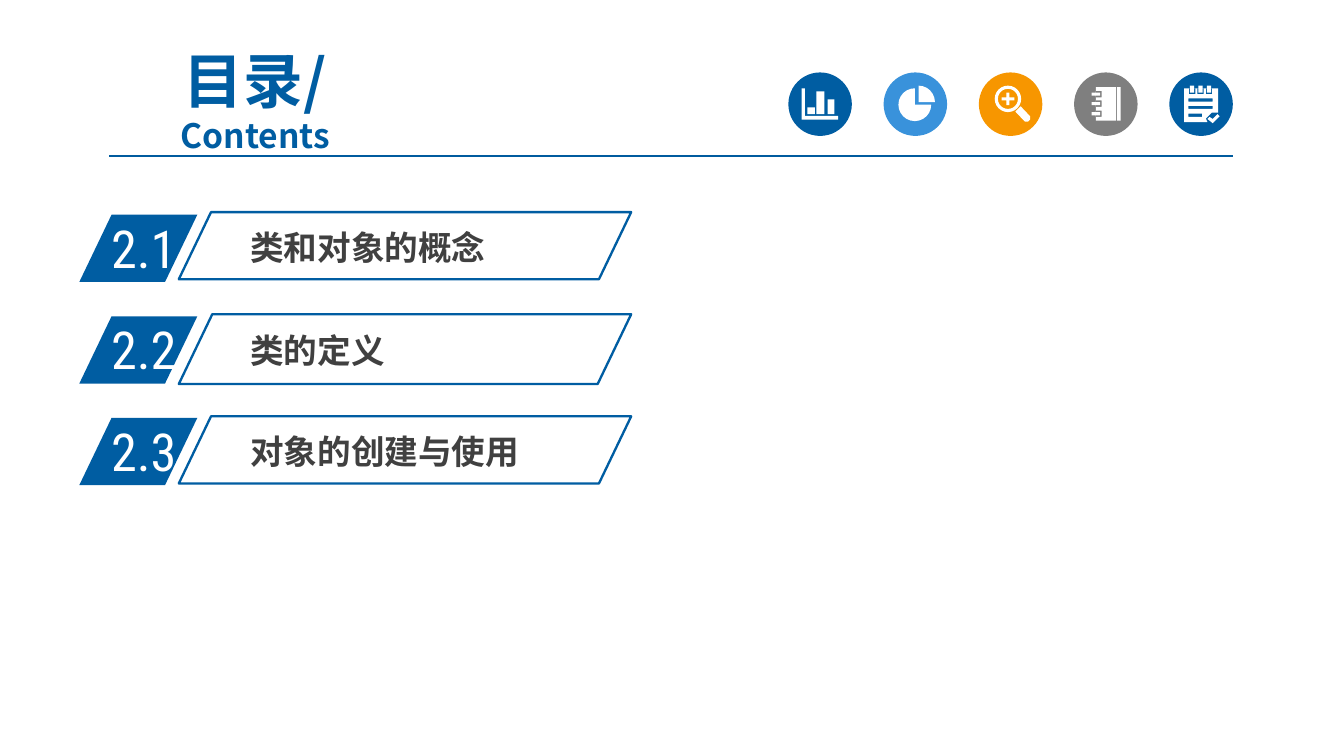
from math import cos, radians, sin

from lxml import etree
from pptx import Presentation
from pptx.dml.color import RGBColor
from pptx.enum.shapes import MSO_CONNECTOR, MSO_SHAPE
from pptx.enum.text import MSO_ANCHOR, MSO_AUTO_SIZE, PP_ALIGN
from pptx.oxml.ns import qn
from pptx.util import Cm, Pt

BLUE = RGBColor(0x00, 0x5D, 0xA2)
RULE = RGBColor(0x00, 0x5B, 0x9E)
SKY = RGBColor(0x39, 0x92, 0xDB)
ORANGE = RGBColor(0xF7, 0x96, 0x00)
GRAY = RGBColor(0x7F, 0x7F, 0x7F)
DARK = RGBColor(0x40, 0x40, 0x40)
WHITE = RGBColor(0xFF, 0xFF, 0xFF)
CJK = "Noto Sans CJK SC"
LATIN = "Roboto Condensed"


def add_text(p, text, font=CJK, size=18, color=DARK, bold=False):
    r = p.add_run()
    r.text = text
    r.font.name = font
    r.font.size = Pt(size)
    r.font.bold = bold
    r.font.color.rgb = color
    etree.SubElement(r.font._element, qn("a:ea"), typeface=font)


def paint(sp, fill=None, line=None):
    sp.shadow.inherit = False
    if fill is None:
        sp.fill.background()
    else:
        sp.fill.solid()
        sp.fill.fore_color.rgb = fill
    if line is None:
        sp.line.fill.background()
    else:
        sp.line.color.rgb = line
        sp.line.width = Pt(1.25)


prs = Presentation()
prs.slide_width, prs.slide_height = Cm(25.4), Cm(14.29)
s = prs.slides.add_slide(prs.slide_layouts[5])

# Title and rule below it
title = s.shapes.title
title.left, title.top, title.width, title.height = Cm(1.69), Cm(1.2), Cm(6.27), Cm(1.37)
tf = title.text_frame
tf.auto_size = MSO_AUTO_SIZE.NONE
tf.vertical_anchor = MSO_ANCHOR.MIDDLE
p = tf.paragraphs[0]
p.alignment = PP_ALIGN.CENTER
add_text(p, "目录/", size=32, color=BLUE, bold=True)
p.add_line_break()
add_text(p, "Contents", color=BLUE, bold=True)

rule = s.shapes.add_connector(MSO_CONNECTOR.STRAIGHT, Cm(2.06), Cm(2.95), Cm(23.3), Cm(2.95))
rule.line.color.rgb = RULE
rule.line.width = Pt(0.75)
etree.SubElement(rule._element.spPr, qn("a:effectLst"))

# Contents rows: numbered tag and outlined panel
rows = [("类和对象的概念", 1.27), ("类的定义", 1.32), ("对象的创建与使用", 1.27)]
for i, (item, height) in enumerate(rows):
    tag_y = 4.06 + 1.92 * i
    panel_y = 4.01 + 1.93 * i
    tag = s.shapes.add_shape(MSO_SHAPE.PARALLELOGRAM, Cm(1.5), Cm(tag_y), Cm(2.23), Cm(1.27))
    panel = s.shapes.add_shape(MSO_SHAPE.PARALLELOGRAM, Cm(3.38), Cm(panel_y), Cm(8.55), Cm(height))
    tag.adjustments[0] = panel.adjustments[0] = 0.48
    paint(tag, fill=BLUE)
    paint(panel, line=BLUE)

    tf = s.shapes.add_textbox(Cm(1.85), Cm(tag_y - 0.1), Cm(2.13), Cm(1.45)).text_frame
    tf.word_wrap = True
    add_text(tf.paragraphs[0], f"2.{i + 1}", font=LATIN, size=28, color=WHITE)

    text_y = panel_y + (height - 0.97) / 2 + 0.03
    tf = s.shapes.add_textbox(Cm(4.55), Cm(text_y), Cm(6.27), Cm(0.97)).text_frame
    tf.word_wrap = True
    tf.margin_left = tf.margin_right = Cm(0.18)
    tf.margin_top = tf.margin_bottom = Cm(0.1)
    add_text(tf.paragraphs[0], item, bold=True)

# Icons, in cm from the disc corner; overlapping outlines cut holes
# boxes: x, y, w, h; arcs: centre x, y, radius, start and end angle
chart = {
    "polygons": [[(0.25, 0.3), (0.31, 0.3), (0.31, 0.82), (0.94, 0.82), (0.94, 0.89), (0.25, 0.89)]],
    "boxes": [(0.36, 0.66, 0.14, 0.13), (0.53, 0.36, 0.15, 0.43), (0.74, 0.51, 0.13, 0.28)],
}
pie = {"arcs": [(0.59, 0.61, 0.31, 0, 270), (0.66, 0.56, 0.31, 270, 360)]}
magnifier = {
    "arcs": [(0.55, 0.5, 0.25, 0, 360), (0.55, 0.5, 0.19, 0, 360)],
    "boxes": [(0.52, 0.38, 0.06, 0.24), (0.43, 0.47, 0.09, 0.06), (0.58, 0.47, 0.09, 0.06)],
    "polygons": [[(0.69, 0.74), (0.79, 0.64), (0.97, 0.83), (0.97, 0.89), (0.93, 0.93), (0.87, 0.93)]],
}
notebook = {"boxes": [(0.41, 0.28, 0.38, 0.63), (0.81, 0.28, 0.07, 0.63)]}
for y in (0.41, 0.59, 0.78):
    notebook["boxes"] += [(0.41, y - 0.06, 0.11, 0.12), (0.33, y - 0.03, 0.16, 0.06)]
notepad = {
    "polygons": [
        [(0.28, 0.3), (0.92, 0.3), (0.92, 0.76), (0.8, 0.76), (0.69, 0.87), (0.72, 0.94), (0.28, 0.94)],
        [(0.72, 0.88), (0.76, 0.84), (0.82, 0.88), (0.91, 0.79), (0.95, 0.83), (0.82, 0.96)],
    ],
    "boxes": [(0.36, 0.49, 0.46, 0.06), (0.36, 0.63, 0.46, 0.06), (0.36, 0.78, 0.26, 0.06)],
}
for x in (0.43, 0.59, 0.75):
    notepad["boxes"] += [(x - 0.06, 0.3, 0.12, 0.11), (x - 0.04, 0.25, 0.08, 0.13)]

icons = [(BLUE, chart), (SKY, pie), (ORANGE, magnifier), (GRAY, notebook), (BLUE, notepad)]
for i, (color, icon) in enumerate(icons):
    left, top = 14.9 + 1.8 * i, 1.37
    disc = s.shapes.add_shape(MSO_SHAPE.OVAL, Cm(left), Cm(top), Cm(1.2), Cm(1.2))
    paint(disc, fill=color)

    outlines = list(icon.get("polygons", []))
    for x, y, w, h in icon.get("boxes", []):
        outlines.append([(x, y), (x + w, y), (x + w, y + h), (x, y + h)])
    for cx, cy, radius, start, end in icon.get("arcs", []):
        angles = [radians(a) for a in range(start, end + 1, 15)]
        points = [(cx + radius * cos(a), cy + radius * sin(a)) for a in angles]
        outlines.append(points if end - start == 360 else [(cx, cy)] + points)

    builder = None
    for outline in outlines:
        points = [(Cm(left + x), Cm(top + y)) for x, y in outline]
        if builder is None:
            builder = s.shapes.build_freeform(*points[0])
        else:
            builder.move_to(*points[0])
        builder.add_line_segments(points[1:], close=True)
    paint(builder.convert_to_shape(), fill=WHITE)

prs.save("out.pptx")
